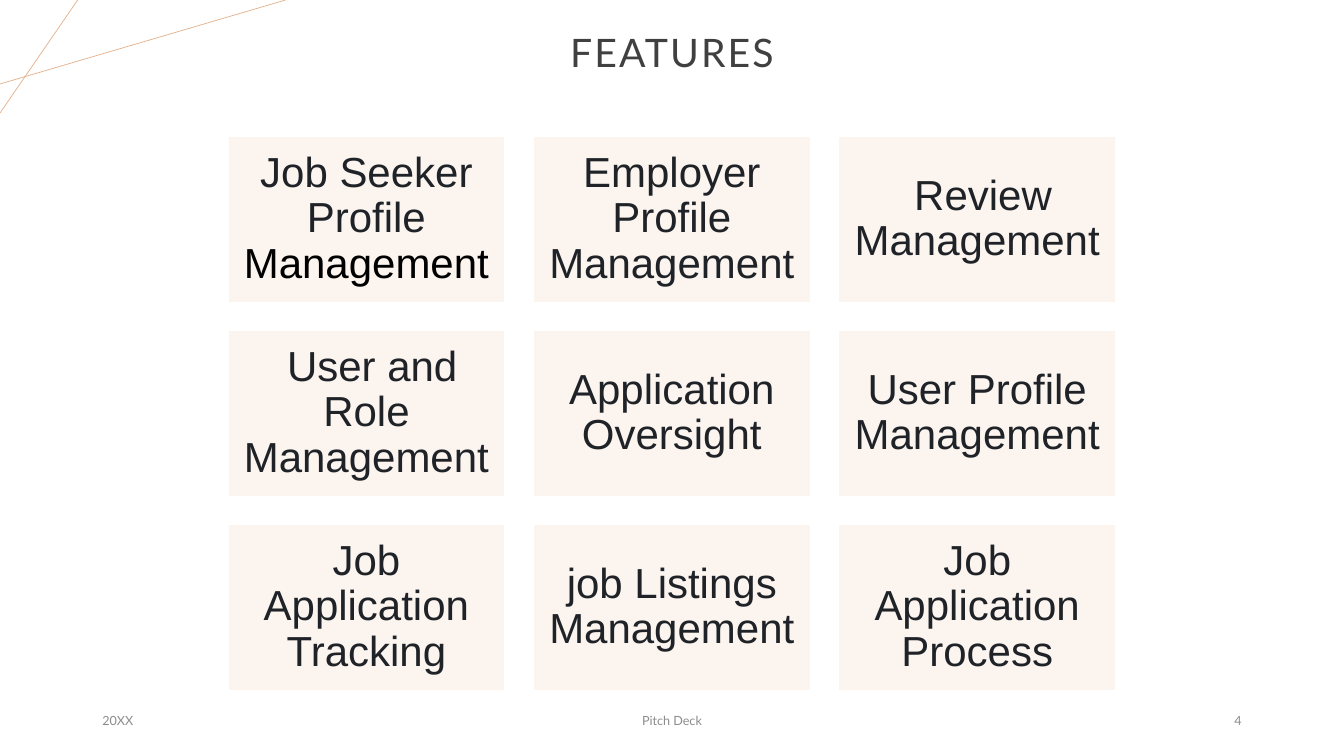
from lxml import etree
from pptx import Presentation
from pptx import util as u
from pptx.dml.color import RGBColor
from pptx.enum import shapes, text
from pptx.oxml import ns

# Content
TITLE = "FEATURES"
FEATURES = [
    [("Job Seeker Profile ", "ink"), ("Management", "black")],
    "Employer Profile Management",
    " Review Management",
    " User and Role Management",
    "Application Oversight",
    "User Profile Management",
    "Job Application Tracking",
    "job Listings Management",
    "Job Application Process",
]
FOOTER = [  # wording, left, width, alignment
    ("20XX", 66, 216, "LEFT"),
    ("Pitch Deck", 318, 324, "CENTER"),
    ("4", 678, 216, "RIGHT"),
]
CORNER_LINES = [((0, 60), (204, 0)), ((55.5, 0), (0, 80.75))]
COLORS = {
    "accent": "E2B18D", "card": "FBF4EF", "white": "FFFFFF", "black": "000000",
    "ink": "1F2328", "title": "404040", "footer": "8C8C8C",
}

# Card grid
COLUMNS = 3
GRID_LEFT, GRID_TOP = 162.75, 97.25
CARD_WIDTH, CARD_HEIGHT = 198, 118.8
COLUMN_STEP, ROW_STEP = 218.15, 138.6


def color(name):
    return RGBColor.from_string(COLORS[name])


def write(holder, wording, font="Lato", size=9, ink="footer", align="CENTER",
          line_spacing=1.0, tracking=0, inset=(7.2, 3.6)):
    """Fill a shape with one paragraph; wording is a string or (string, colour) runs."""
    frame = holder.text_frame
    frame.word_wrap = True
    frame.vertical_anchor = text.MSO_ANCHOR.MIDDLE
    frame.margin_left = frame.margin_right = u.Pt(inset[0])
    frame.margin_top = frame.margin_bottom = u.Pt(inset[1])
    paragraph = frame.paragraphs[0]
    paragraph.alignment = text.PP_ALIGN[align]
    paragraph.line_spacing = line_spacing
    runs = [(wording, ink)] if isinstance(wording, str) else wording
    for words, run_ink in runs:
        run = paragraph.add_run()
        run.text = words
        run.font.name = font
        run.font.size = u.Pt(size)
        run.font.color.rgb = color(run_ink)
        if tracking:
            run.font._element.set("spc", str(round(tracking * 100)))


deck = Presentation()
deck.slide_width, deck.slide_height = u.Pt(960), u.Pt(540)
slide = deck.slides.add_slide(deck.slide_layouts[6])

# Corner lines
for start, end in CORNER_LINES:
    corner_line = slide.shapes.add_connector(
        shapes.MSO_CONNECTOR.STRAIGHT, *[u.Pt(v) for v in start + end])
    corner_line.line.color.rgb = color("accent")
    corner_line.line.width = u.Pt(0.5)
    etree.SubElement(corner_line._element.spPr, ns.qn("a:effectLst"))

# Title
heading = slide.shapes.add_textbox(u.Pt(66), u.Pt(0.75), u.Pt(828), u.Pt(77))
write(heading, TITLE, size=28, ink="title", line_spacing=0.9, tracking=1.5)

# Footer
for wording, left, width, align in FOOTER:
    footer = slide.shapes.add_textbox(u.Pt(left), u.Pt(500.5), u.Pt(width), u.Pt(28.75))
    write(footer, wording, align=align)

# Feature cards
for index, feature in enumerate(FEATURES):
    row, column = divmod(index, COLUMNS)
    card = slide.shapes.add_shape(
        shapes.MSO_SHAPE.RECTANGLE,
        u.Pt(GRID_LEFT + column * COLUMN_STEP), u.Pt(GRID_TOP + row * ROW_STEP),
        u.Pt(CARD_WIDTH), u.Pt(CARD_HEIGHT))
    card.shadow.inherit = False
    card.fill.solid()
    card.fill.fore_color.rgb = color("card")
    card.line.color.rgb = color("white")
    card.line.width = u.Pt(1)
    write(card, feature, font="Arial", size=30, ink="ink", line_spacing=0.9,
          inset=(8.64, 8.64))

deck.save("out.pptx")
